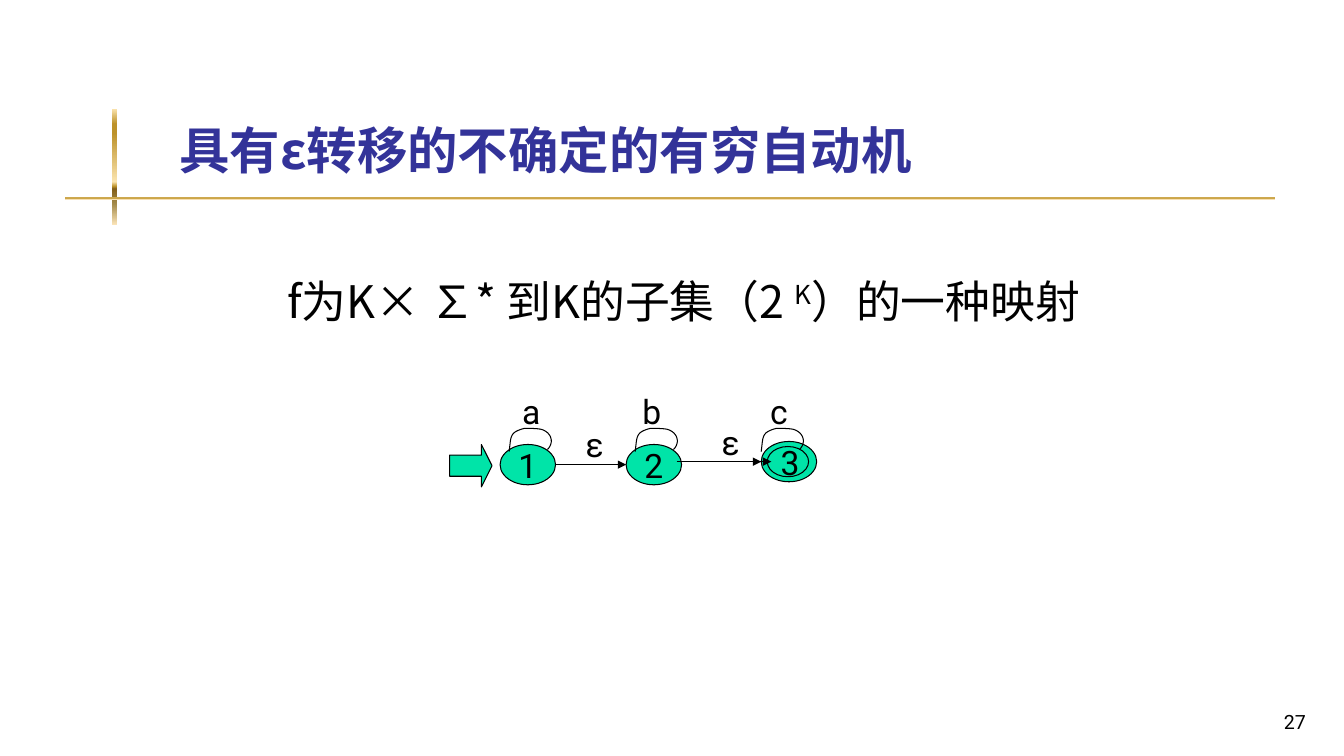
import pptx
import pptx.dml.color
import pptx.enum.shapes
import pptx.enum.text
import pptx.oxml
import pptx.oxml.ns
import pptx.util
from lxml import etree

Inches = pptx.util.Inches
Shape = pptx.enum.shapes.MSO_SHAPE
Anchor = pptx.enum.text.MSO_ANCHOR
Align = pptx.enum.text.PP_ALIGN
qn = pptx.oxml.ns.qn


class Theme:
    title_color = pptx.dml.color.RGBColor(0x33, 0x33, 0x99)
    ink = pptx.dml.color.RGBColor(0, 0, 0)
    state_fill = pptx.dml.color.RGBColor(0x00, 0xE4, 0xA8)
    gold_stops = [(0, "FBE4AE"), (13, "BD922A"), (21, "BD922A"), (63, "FBE4AE"),
                  (67, "BD922A"), (69, "835E17"), (82, "A28949"), (100, "FAE3B7")]
    chinese_font = "Noto Sans CJK JP"
    latin_font = "Roboto"
    title_size = pptx.util.Pt(36)
    body_size = pptx.util.Pt(32)
    body_leading = pptx.util.Pt(38)
    label_size = pptx.util.Pt(24)
    number_size = pptx.util.Pt(14)
    outline = pptx.util.Pt(0.75)


def write(shape, text, size, font=Theme.latin_font, color=Theme.ink,
          align=Align.CENTER, anchor=Anchor.MIDDLE, wrap=False):
    """Fill a shape with one styled paragraph and return that paragraph."""
    frame = shape.text_frame
    frame.text = text
    frame.word_wrap = wrap
    frame.vertical_anchor = anchor
    para = frame.paragraphs[0]
    para.alignment = align
    span = para.runs[0]
    span.font.size = size
    span.font.name = font
    span.font.color.rgb = color
    etree.SubElement(span.font._element, qn("a:ea"), typeface=font)
    return para


def add_solid(kind, left, top, width, height):
    """Add a green preset shape with a thin black outline."""
    shape = page.shapes.add_shape(kind, Inches(left), Inches(top),
                                  Inches(width), Inches(height))
    shape.shadow.inherit = False
    shape.fill.solid()
    shape.fill.fore_color.rgb = Theme.state_fill
    shape.line.color.rgb = Theme.ink
    shape.line.width = Theme.outline
    return shape


deck = pptx.Presentation()
deck.slide_width = Inches(13.33)
deck.slide_height = Inches(7.5)
page = deck.slides.add_slide(deck.slide_layouts[6])

# Golden cross beside and below the title
stops = "".join(f'<a:gs pos="{at * 1000}"><a:srgbClr val="{color}"/></a:gs>'
                for at, color in Theme.gold_stops)
gradient = (f'<a:gradFill {pptx.oxml.ns.nsdecls("a")}><a:gsLst>{stops}</a:gsLst>'
            '<a:lin ang="5400000" scaled="0"/></a:gradFill>')
for bounds in [(1.11, 1.08, 0.05, 1.15), (0.65, 1.95, 12, 0.03)]:
    bar = page.shapes.add_shape(Shape.RECTANGLE, *map(Inches, bounds))
    bar.shadow.inherit = False
    bar.line.fill.background()
    geometry = bar._element.spPr.find(qn("a:prstGeom"))
    geometry.addnext(pptx.oxml.parse_xml(gradient))

# Title, definition and page number
title = page.shapes.add_textbox(Inches(1.68), Inches(0.23), Inches(11.36), Inches(1.6))
para = write(title, "具有ε转移的不确定的有穷自动机", Theme.title_size, Theme.chinese_font,
             Theme.title_color, Align.LEFT, Anchor.BOTTOM, True)
para.runs[0].font.bold = True

body = page.shapes.add_textbox(Inches(2.75), Inches(2.67), Inches(8.5), Inches(4.07))
para = write(body, "f为K× ∑* 到K的子集（2 ", Theme.body_size, Theme.chinese_font,
             align=Align.LEFT, anchor=Anchor.TOP, wrap=True)
para.line_spacing = Theme.body_leading
para._p.get_or_add_pPr().set("marL", str(Inches(0.38)))
para._p.get_or_add_pPr().set("indent", str(-Inches(0.38)))
for text, baseline in [("K", "30000"), ("）的一种映射", "0")]:
    span = para.add_run()
    span.text = text
    span.font.size = Theme.body_size
    span.font.name = Theme.chinese_font
    span.font.color.rgb = Theme.ink
    span.font._element.set("baseline", baseline)
    etree.SubElement(span.font._element, qn("a:ea"), typeface=Theme.chinese_font)

number = page.shapes.add_textbox(Inches(10.27), Inches(6.83), Inches(2.78), Inches(0.5))
write(number, "27", Theme.number_size, align=Align.RIGHT, anchor=Anchor.BOTTOM, wrap=True)

# Start arrow and states; the accepting state is a double ring
start = add_solid(Shape.RIGHT_ARROW, 4.46, 4.41, 0.42, 0.42)
start.adjustments[0] = 0.5
start.adjustments[1] = 0.25
for name, left in [("1", 4.96), ("2", 6.21)]:
    state = add_solid(Shape.OVAL, left, 4.41, 0.55, 0.4)
    write(state, name, Theme.label_size)
add_solid(Shape.OVAL, 7.55, 4.38, 0.55, 0.4)
add_solid(Shape.OVAL, 7.61, 4.43, 0.41, 0.3)

# Self loops: Bezier curves sampled into short segments
loop_curves = [
    [(0, 0.23), (0.02, 0.08), (0, 0.04), (0.15, 0)],
    [(0.15, 0), (0.21, 0), (0.27, 0), (0.32, 0.01)],
    [(0.32, 0.01), (0.42, 0.04), (0.45, 0.14), (0.38, 0.21)],
]
steps = 12
loop_points = [loop_curves[0][0]]
for curve in loop_curves:
    for step in range(1, steps + 1):
        t = step / steps
        weights = [(1 - t) ** 3, 3 * t * (1 - t) ** 2, 3 * t ** 2 * (1 - t), t ** 3]
        loop_points.append(tuple(sum(w * point[axis] for w, point in zip(weights, curve))
                                 for axis in (0, 1)))
for left in (5.05, 6.3, 7.55):
    points = [(Inches(left + x), Inches(4.25 + y)) for x, y in loop_points]
    builder = page.shapes.build_freeform(*points[0])
    builder.add_line_segments(points[1:], close=False)
    loop = builder.convert_to_shape()
    loop.shadow.inherit = False
    loop.fill.background()
    loop.line.color.rgb = Theme.ink
    loop.line.width = Theme.outline

# Transitions
for begin, end, y in [(5.51, 6.21, 4.61), (6.8, 7.55, 4.58), (6.71, 7.65, 4.58)]:
    arrow = page.shapes.add_connector(pptx.enum.shapes.MSO_CONNECTOR.STRAIGHT,
                                      Inches(begin), Inches(y), Inches(end), Inches(y))
    arrow.line.color.rgb = Theme.ink
    arrow.line.width = Theme.outline
    etree.SubElement(arrow.line._get_or_add_ln(), qn("a:tailEnd"), type="triangle")
    etree.SubElement(arrow._element.spPr, qn("a:effectLst"))

# Labels
for text, left, top, width in [("ε", 5.71, 4.16, 0.35), ("ε", 7.06, 4.14, 0.35),
                               ("3", 7.64, 4.33, 0.39), ("a", 5.08, 3.83, 0.38),
                               ("b", 6.27, 3.83, 0.39), ("c", 7.54, 3.83, 0.36)]:
    label = page.shapes.add_textbox(Inches(left), Inches(top), Inches(width), Inches(0.5))
    write(label, text, Theme.label_size)

deck.save("out.pptx")
